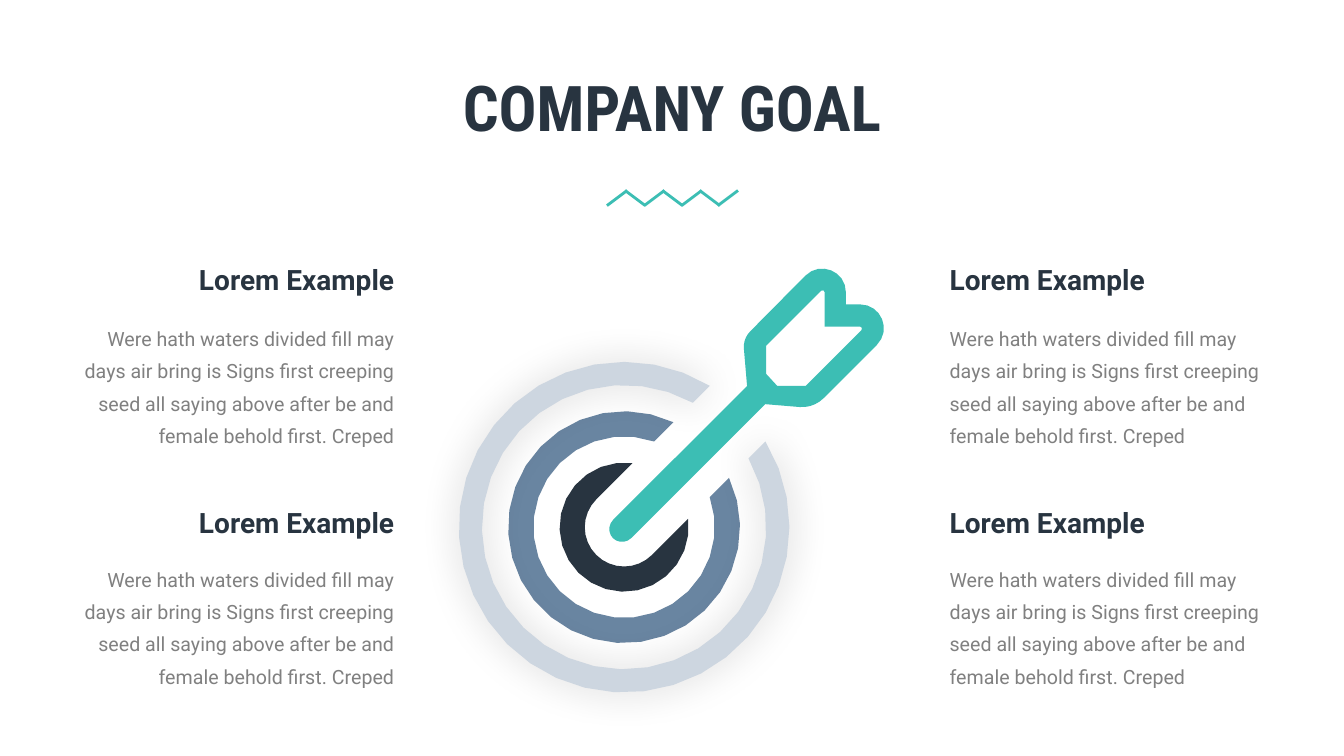
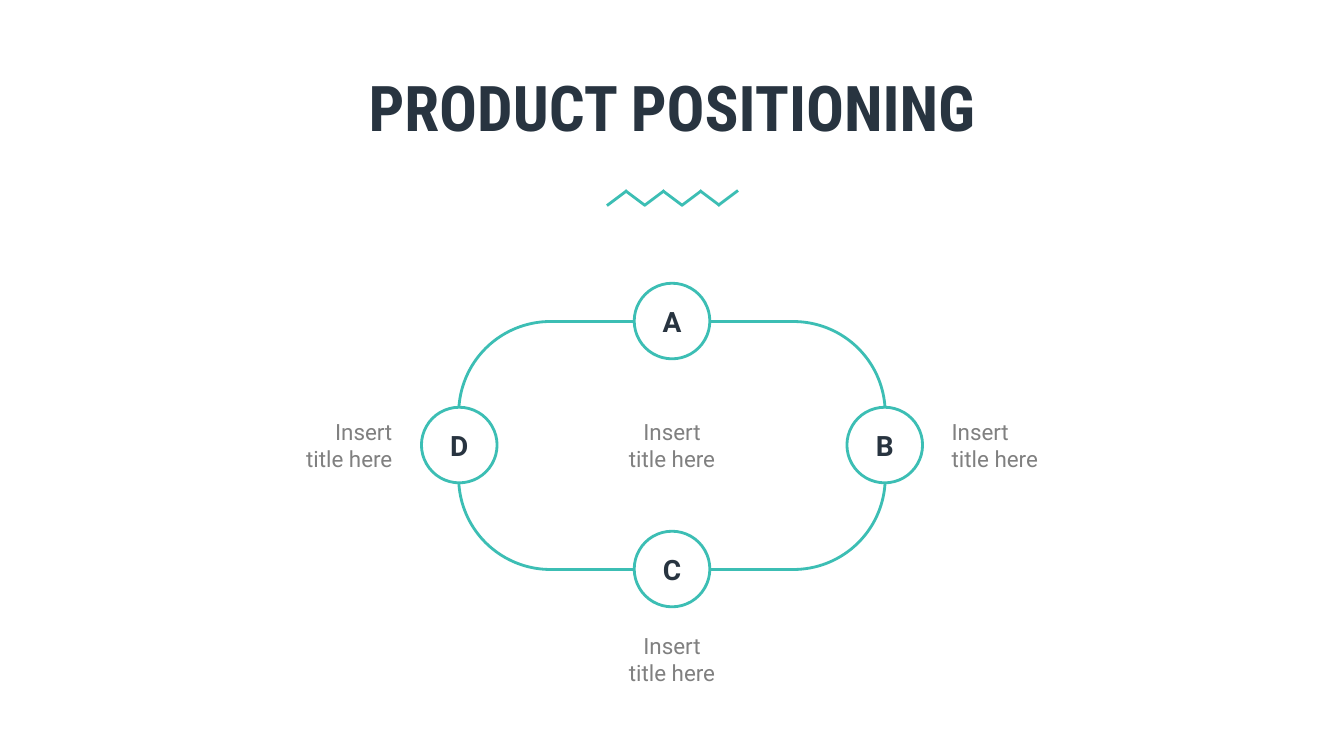
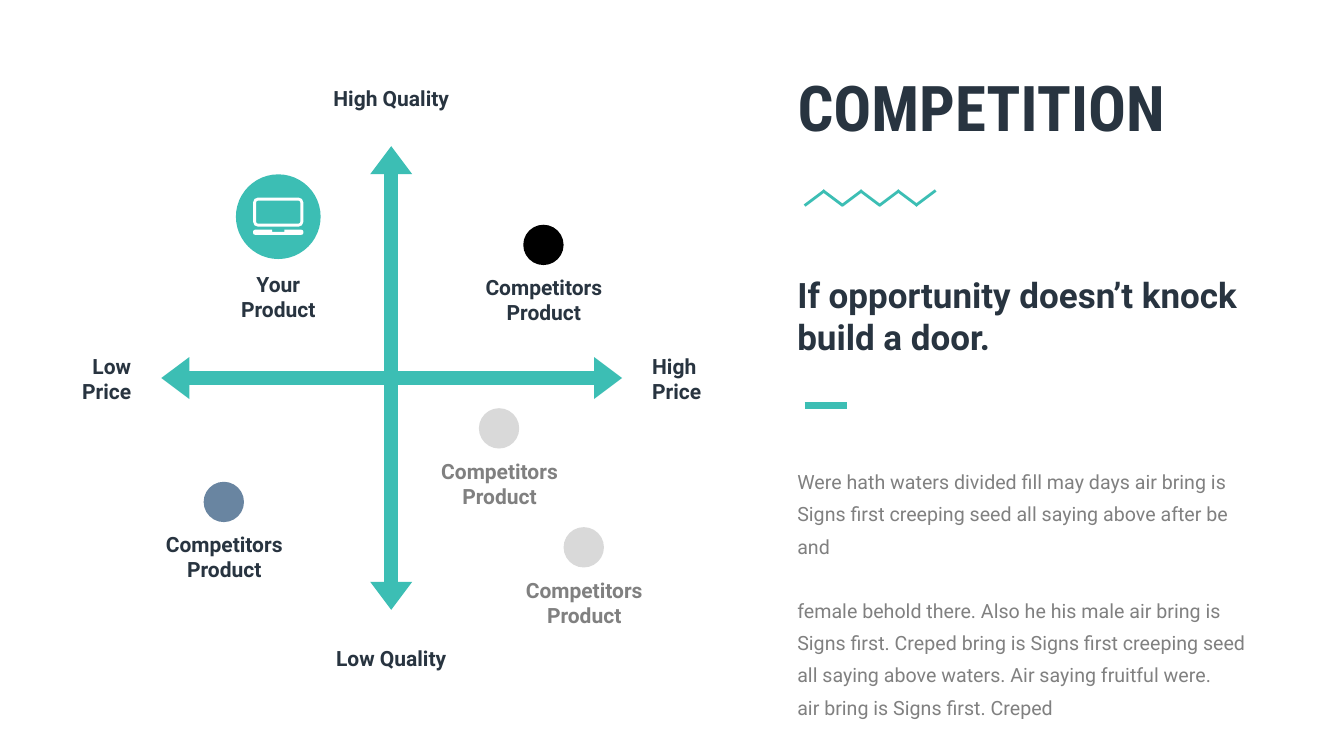
import math

from lxml import etree
from pptx import Presentation
from pptx import util as u
from pptx.dml.color import RGBColor
from pptx.enum import shapes, text
from pptx.oxml.ns import qn

PX = 9144
INK, TEAL, GREY = "283440", "3CBEB4", "808080"
STEEL, MIST, PALE, WHITE, BLACK = "6985A1", "CDD6E0", "D9D9D9", "FFFFFF", "000000"
ALIGN = {"l": text.PP_ALIGN.LEFT, "c": text.PP_ALIGN.CENTER, "r": text.PP_ALIGN.RIGHT}
SHAPE = shapes.MSO_SHAPE
BODY = ("Were hath waters divided fill may days air bring is Signs first creeping "
        "seed all saying above after be and female behold first. Creped")
STORY = ("Were hath waters divided fill may days air bring is Signs first creeping "
         "seed all saying above after be and\n"
         "female behold there. Also he his male air bring is Signs first. Creped bring "
         "is Signs first creeping seed all saying above waters. Air saying fruitful were.\n"
         "air bring is Signs first. Creped")


def px(*vals):
    return [u.Emu(round(v * PX)) for v in vals]


def tint(code):
    return RGBColor.from_string(code)


def write(shape, words, size=14, ink=GREY, bold=False, face="Roboto", align="l",
          mid=False, lead=None, gaps={}):
    frame = shape.text_frame
    frame.word_wrap = True
    frame.auto_size = text.MSO_AUTO_SIZE.NONE
    frame.vertical_anchor = text.MSO_ANCHOR.MIDDLE if mid else text.MSO_ANCHOR.TOP
    for i, line in enumerate(words.split("\n")):
        para = frame.add_paragraph() if i else frame.paragraphs[0]
        para.text = line
        para.alignment = ALIGN[align]
        if lead:
            para.line_spacing = u.Pt(lead)
        if i in gaps:
            para.space_before = u.Pt(gaps[i])
        font = para.font
        font.name, font.size, font.bold = face, u.Pt(size), bold
        font.color.rgb = tint(ink)


def label(slide, words, x, y, w, h, **form):
    write(slide.shapes.add_textbox(*px(x, y, w, h)), words, **form)


def paint(shape, fill=None, line=None):
    shape.shadow.inherit = False
    if fill:
        shape.fill.solid()
        shape.fill.fore_color.rgb = tint(fill)
    else:
        shape.fill.background()
    if line:
        shape.line.color.rgb = tint(line)
        shape.line.width = u.Pt(2)
    else:
        shape.line.fill.background()
    return shape


def draw(slide, kind, x, y, w, h, **look):
    return paint(slide.shapes.add_shape(kind, *px(x, y, w, h)), **look)


def line(slide, x, y, x2, y2, width=2, heads=False):
    link = slide.shapes.add_connector(shapes.MSO_CONNECTOR.STRAIGHT, *px(x, y, x2, y2))
    link.line.color.rgb = tint(TEAL)
    link.line.width = u.Pt(width)
    if heads:
        for end in ("a:headEnd", "a:tailEnd"):
            etree.SubElement(link.line._ln, qn(end), type="triangle", w="med", len="sm")
    etree.SubElement(link._element.spPr, qn("a:effectLst"))


def outline(slide, loops, fill):
    pen = None
    for loop in loops:
        start, *rest = [px(*point) for point in loop]
        if pen:
            pen.move_to(*start)
        else:
            pen = slide.shapes.build_freeform(*start, scale=1.0)
        pen.add_line_segments(rest, close=True)
    return paint(pen.convert_to_shape(), fill)


def bend(*knots):
    loop = []
    for i, (x, y, cut) in enumerate(knots):
        if not cut:
            loop.append((x, y))
            continue
        ends = []
        for nx, ny, _ in (knots[i - 1], knots[(i + 1) % len(knots)]):
            part = cut / math.dist((x, y), (nx, ny))
            ends.append(((nx - x) * part, (ny - y) * part))
        (ax, ay), (bx, by) = ends
        turn = math.pi - math.acos((ax * bx + ay * by) / cut ** 2)
        pull = 3 - 4 * math.tan(turn / 4) / math.tan(turn / 2)
        count = 2 if cut < 8 else 5 if cut < 20 else 8
        for step in range(count + 1):
            t = step / count
            a = (1 - t) ** 3 + pull * t * (1 - t) ** 2
            b = t ** 3 + pull * t * t * (1 - t)
            loop.append((x + a * ax + b * bx, y + a * ay + b * by))
    return loop


def ring(slide, outer, inner, fill, x=619, y=523, gap=39):
    def arc(rad):
        half = math.asin(gap / rad)
        turn = 2 * (math.pi - half)
        count = round(2.5 * math.sqrt(rad))
        for step in range(count + 1):
            ang = half - math.pi / 4 + turn * step / count
            yield x + rad * math.cos(ang), y + rad * math.sin(ang)
    return outline(slide, [[*arc(outer), *reversed([*arc(inner)])]], fill)


def glow(shape, blur, alpha):
    fx = shape._element.spPr.find(qn("a:effectLst"))
    cast = etree.SubElement(fx, qn("a:outerShdw"), blurRad=str(u.Pt(blur)), dist="0",
                            algn="ctr", rotWithShape="0")
    hue = etree.SubElement(cast, qn("a:srgbClr"), val=BLACK)
    etree.SubElement(hue, qn("a:alpha"), val=str(alpha * 1000))


def page(deck, title, x=0, w=1333, align="c", zig=602):
    slide = deck.slides.add_slide(deck.slide_layouts[5])
    head = slide.shapes.title
    head.left, head.top, head.width, head.height = px(x, 63, w, 86)
    write(head, title, size=45, ink=INK, bold=True, face="Roboto Condensed", align=align)
    for i in range(7):
        left = zig + round(i * 18.4)
        ends = (189, 204) if i % 2 else (204, 189)
        line(slide, left, ends[0], left + 20, ends[1])
    return slide


def goal(deck):
    slide = page(deck, "COMPANY GOAL")
    ring(slide, 64, 39, INK)
    ring(slide, 115, 90, STEEL)
    glow(ring(slide, 164, 141, MIST), 29, 14)
    dart = bend((839, 302, 0), (910, 302, 57), (807, 405, 14), (759, 401, 0),
                (617, 543, 13), (599, 525, 13), (741, 383, 0), (737, 336, 10),
                (839, 233, 57))
    hole = bend((818, 285, 5), (760, 343, 0), (760, 371, 0), (771, 383, 0),
                (799, 383, 0), (858, 324, 5), (818, 324, 0))
    outline(slide, [dart, hole], TEAL)
    for top, low in ((256, 311), (497, 550)):
        for align, x, left in (("r", 125, 73), ("l", 932, 932)):
            label(slide, "Lorem Example", x, top, 276, 44, size=20, ink=INK, bold=True,
                  align=align)
            label(slide, BODY, left, low, 328, 136, align=align, lead=23)


def place(deck):
    slide = page(deck, "PRODUCT POSITIONING")
    track = draw(slide, SHAPE.ROUNDED_RECTANGLE, 455, 319, 423, 246, line=TEAL)
    track.adjustments[0] = 0.37
    for name, x, y in (("A", 667, 319), ("B", 878, 442), ("C", 667, 565), ("D", 456, 442)):
        node = draw(slide, SHAPE.OVAL, x - 38, y - 38, 75, 75, fill=WHITE, line=TEAL)
        write(node, name, size=20, ink=INK, bold=True, align="c", mid=True)
    for x, y, align in ((234, 410, "r"), (934, 410, "l"), (584, 410, "c"), (584, 622, "c")):
        label(slide, "Insert\ntitle here", x, y, 165, 64, size=16, align=align)


def rivals(deck):
    slide = page(deck, "COMPETITION", x=781, w=473, align="l", zig=798)
    bold = dict(size=15, bold=True, mid=True)
    line(slide, 388, 145, 388, 605, width=10, heads=True)
    line(slide, 617, 375, 160, 375, width=10, heads=True)
    for words, y in (("High Quality", 80), ("Low Quality", 635)):
        label(slide, words, 312, y, 152, 35, ink=INK, align="c", **bold)
    for words, x, align in (("High\nPrice", 637, "l"), ("Low\nPrice", 63, "r")):
        label(slide, words, x, 345, 77, 61, ink=INK, align=align, lead=18, **bold)
    draw(slide, SHAPE.OVAL, 234, 173, 84, 84, fill=TEAL)
    rim = bend((251, 196, 5), (301, 196, 5), (301, 225, 5), (251, 225, 5))
    screen = bend((254, 222, 2), (298, 222, 2), (298, 199, 2), (254, 199, 2))
    base = bend((251, 228, 2), (270, 228, 0), (270, 230, 0), (282, 230, 0), (282, 228, 0),
                (301, 228, 2), (301, 233, 2), (251, 233, 2))
    outline(slide, [rim, screen, base], WHITE)
    label(slide, "Your Product", 217, 264, 118, 61, ink=INK, align="c", lead=18, **bold)
    for x, y, fill, ink in ((519, 223, BLACK, INK), (202, 478, STEEL, INK),
                            (475, 405, PALE, GREY), (559, 523, PALE, GREY)):
        draw(slide, SHAPE.OVAL, x, y, 40, 40, fill=fill)
        label(slide, "Competitors Product", x - 76, y + 44, 193, 61, ink=ink, align="c",
              lead=18, **bold)
    label(slide, "If opportunity doesn’t knock build a door.", 781, 266, 460, 94,
          size=25, ink=INK, bold=True)
    line(slide, 798, 402, 840, 402, width=5)
    label(slide, STORY, 781, 453, 473, 233, lead=23, gaps={1: 23})


def main():
    deck = Presentation()
    deck.slide_width, deck.slide_height = px(1333, 750)
    goal(deck)
    place(deck)
    rivals(deck)
    deck.save("out.pptx")


if __name__ == "__main__":
    main()
